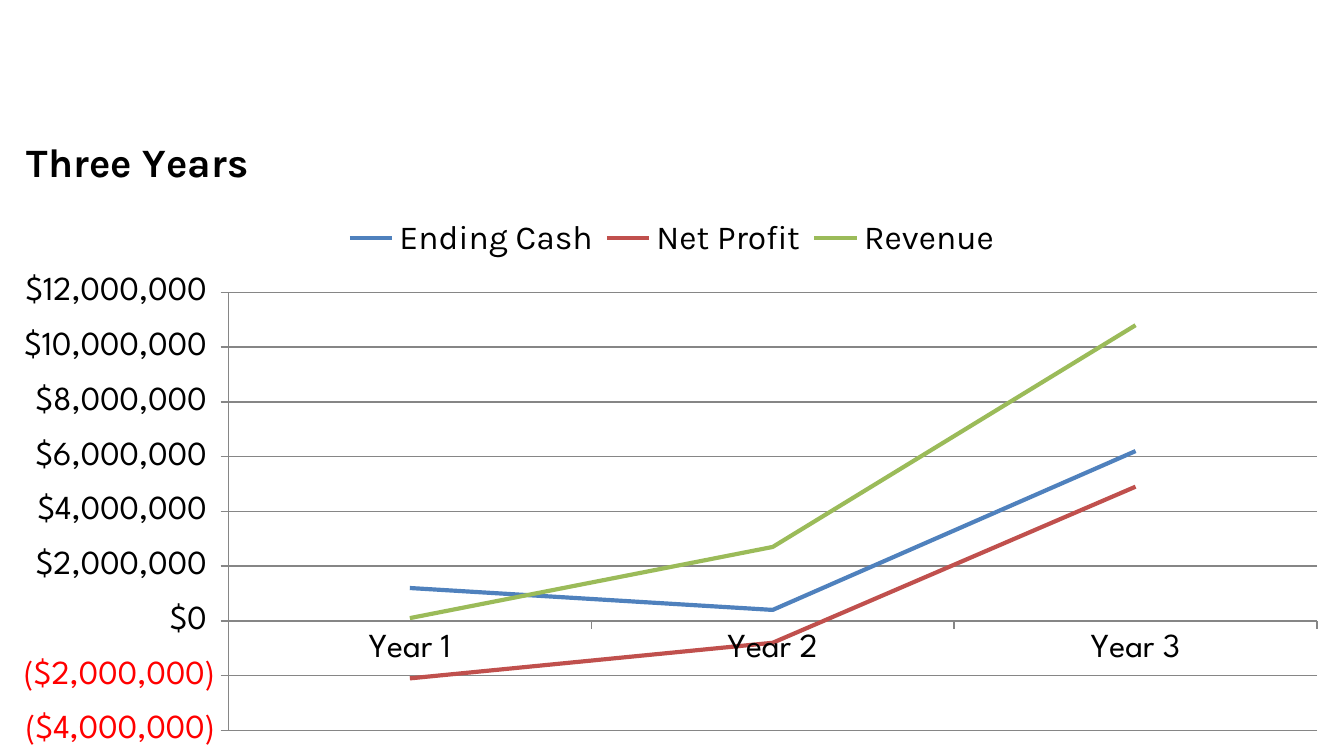
from pptx import Presentation
from pptx import util as u
from pptx.chart.data import CategoryChartData
from pptx.dml.color import RGBColor
from pptx.enum import chart as c
from pptx.oxml import parse_xml
from pptx.oxml.ns import nsdecls, qn

BLACK, GREY = "000000", "868686"
HEADING_FONT, AXIS_FONT = "Karla", "League Spartan"
MONEY = '"$"#,##0_);[Red]\\("$"#,##0\\)'
YEARS = ["Year 1", "Year 2", "Year 3"]
SERIES = [
    ("Ending Cash", [1200000, 400000, 6200000], "4F81BD"),
    ("Net Profit", [-2100000, -800000, 4900000], "C0504D"),
    ("Revenue", [100000, 2700000, 10800000], "9BBB59"),
]


def colour(value):
    return RGBColor.from_string(value)


def format_font(font, name, size=18, bold=False, fill=BLACK):
    font.name, font.size, font.bold = name, u.Pt(size), bold
    font.color.rgb = colour(fill)


def write_text(text_frame, text, **format):
    paragraph = text_frame.paragraphs[0]
    run = paragraph.add_run()
    run.text = text
    format_font(run.font, **format)


def format_line(line, fill, width):
    line.color.rgb = colour(fill)
    line.width = u.Pt(width)


def place(element, index, target=None, **shares):
    for old in element.findall(qn("c:layout")):
        element.remove(old)
    parts = [f'<c:layoutTarget val="{target}"/>'] if target else []
    parts += [f'<c:{key}Mode val="edge"/>' for key in "xy"]
    parts += [f'<c:{key} val="{share}"/>' for key, share in shares.items()]
    element.insert(index, parse_xml(
        f'<c:layout {nsdecls("c")}><c:manualLayout>{"".join(parts)}'
        "</c:manualLayout></c:layout>"))


def format_title(chart, text):
    title = chart.chart_title
    write_text(title.text_frame, text, name=HEADING_FONT, size=21.6, bold=True)
    element = title._element
    place(element, 1, x=1 / 70, y=0.01)
    for old in element.findall(qn("c:overlay")):
        element.remove(old)
    element.insert(2, parse_xml(f'<c:overlay {nsdecls("c")} val="1"/>'))


def format_legend(chart):
    chart.has_legend = True
    legend = chart.legend
    legend.position = c.XL_LEGEND_POSITION.TOP
    legend.include_in_layout = False
    format_font(legend.font, HEADING_FONT)
    place(legend._element, 1, x=0.25, y=0.14, w=0.5, h=0.09)


def format_axes(chart):
    for axis in (chart.category_axis, chart.value_axis):
        axis.major_tick_mark = c.XL_TICK_MARK.OUTSIDE
        axis.minor_tick_mark = c.XL_TICK_MARK.NONE
        format_font(axis.tick_labels.font, AXIS_FONT)
        format_line(axis.format.line, GREY, 0.75)
    values = chart.value_axis
    values.minimum_scale, values.maximum_scale = -4000000, 12000000
    values.major_unit = 2000000
    values.tick_labels.number_format = MONEY
    values.tick_labels.number_format_is_linked = False
    values.has_major_gridlines = True
    format_line(values.major_gridlines.format.line, GREY, 0.75)


def add_forecast_chart(slide, left, top, width, height):
    data = CategoryChartData(number_format=MONEY)
    data.categories = YEARS
    for name, values, _ in SERIES:
        data.add_series(name, values)
    chart = slide.shapes.add_chart(
        c.XL_CHART_TYPE.LINE, left, top, width, height, data).chart
    format_font(chart.font, "Calibri")
    format_title(chart, "Three Years")
    format_legend(chart)
    format_axes(chart)
    plot_area = chart._chartSpace.find(".//" + qn("c:plotArea"))
    place(plot_area, 0, target="inner", x=0.17, y=0.27, w=0.81, h=0.69)
    chart.plots[0].vary_by_categories = False
    for series, (_, _, fill) in zip(chart.plots[0].series, SERIES):
        series.smooth = False
        series.marker.style = c.XL_MARKER_STYLE.NONE
        format_line(series.format.line, fill, 2.25)


def main():
    presentation = Presentation()
    presentation.slide_width = u.Inches(10)
    presentation.slide_height = u.Inches(10 * 9 / 16)
    width, height = presentation.slide_width, presentation.slide_height
    slide = presentation.slides.add_slide(presentation.slide_layouts[6])
    top = int(height * 0.16)
    add_forecast_chart(slide, 0, top, width, height - top)
    presentation.save("out.pptx")


if __name__ == "__main__":
    main()
